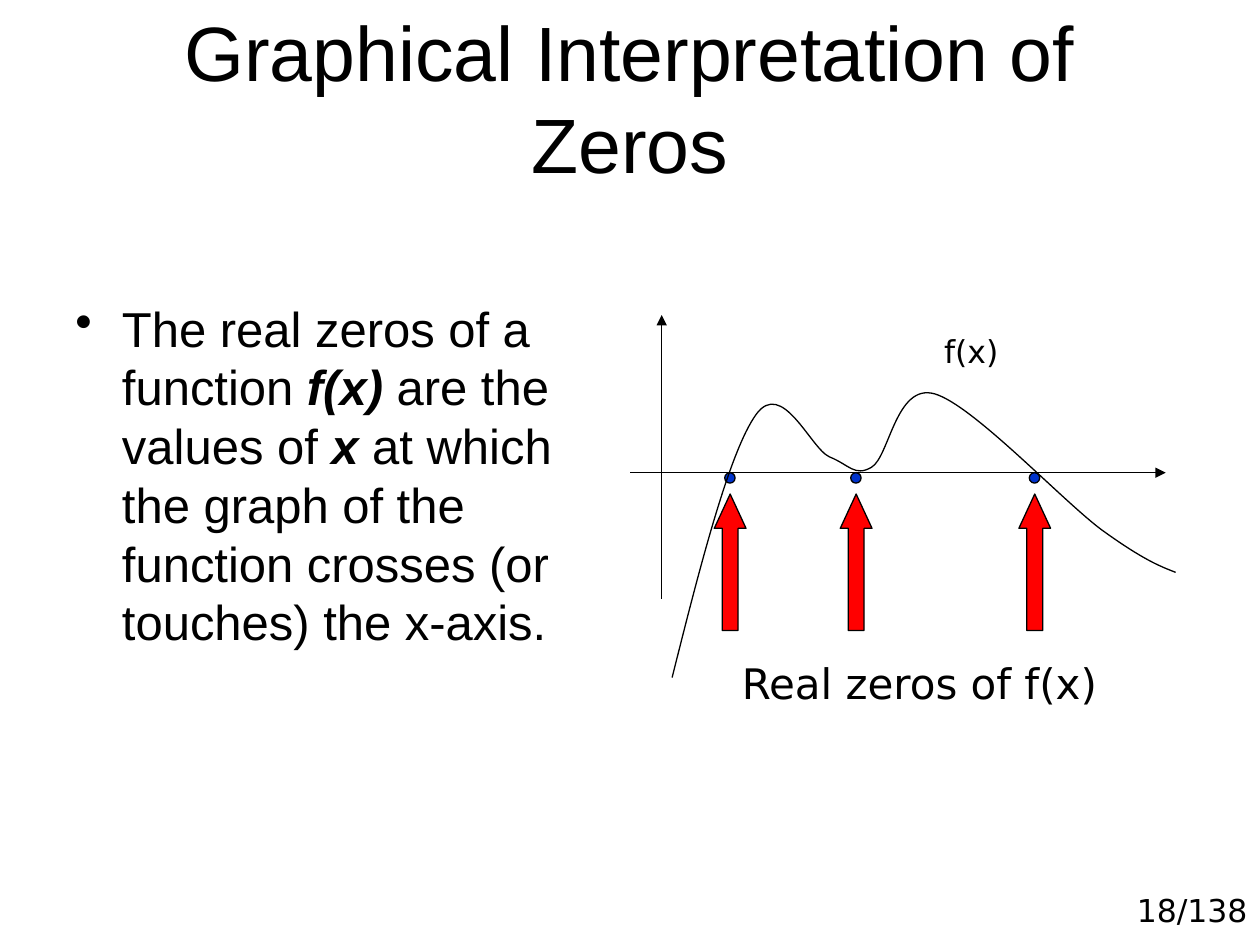
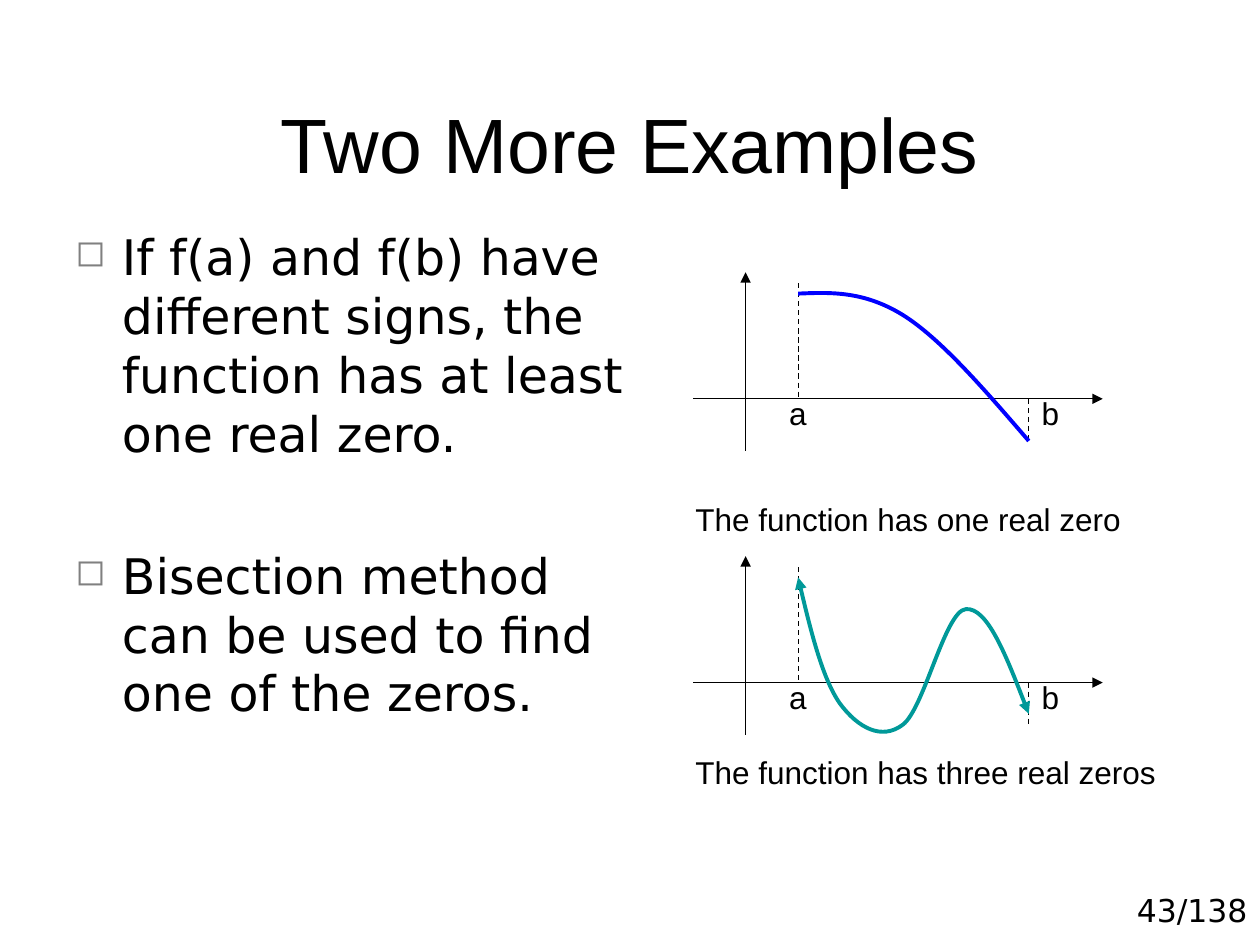
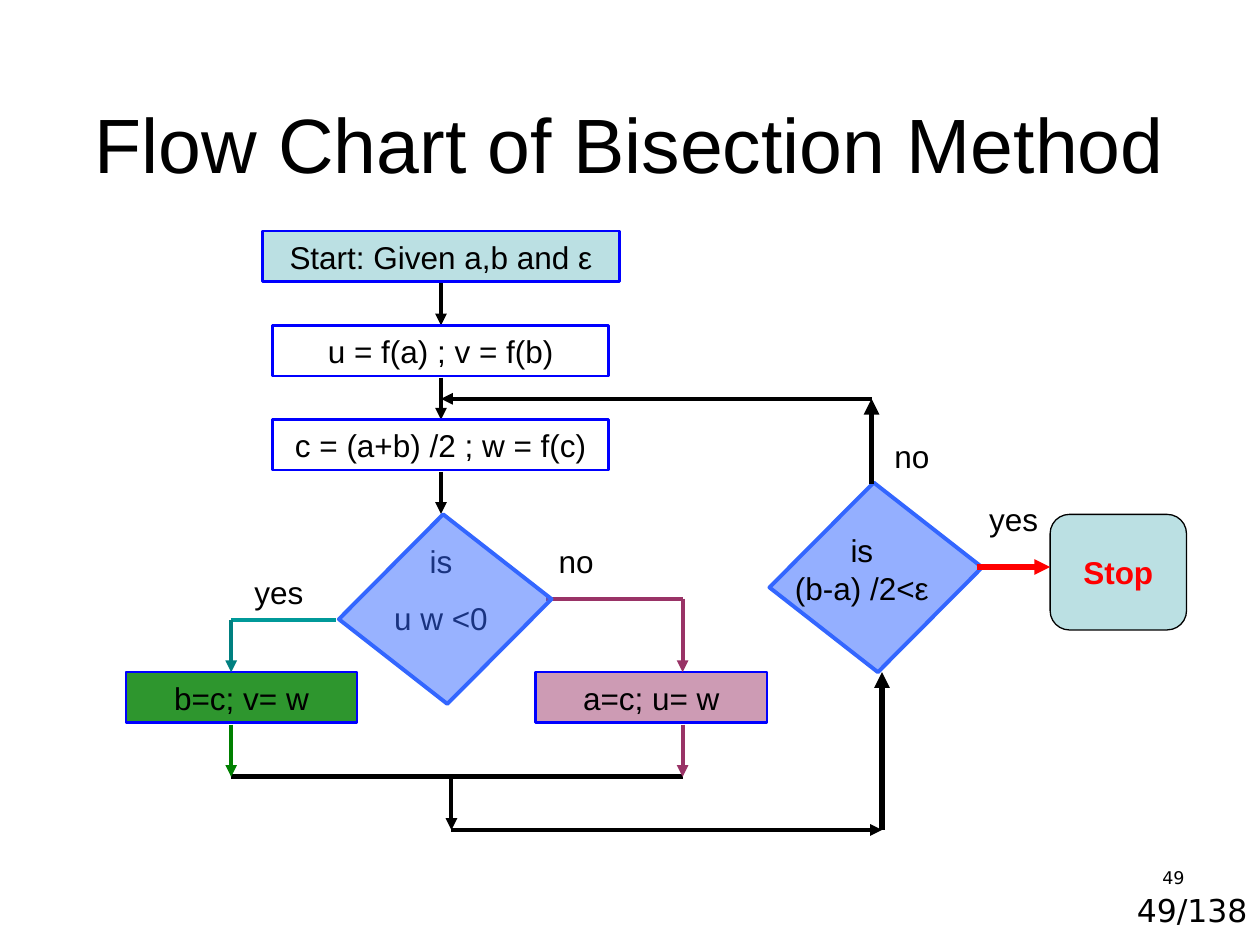
from lxml.etree import SubElement
from pptx import Presentation
from pptx.dml.color import RGBColor
from pptx.enum.dml import MSO_LINE
from pptx.enum.shapes import MSO_CONNECTOR, MSO_SHAPE
from pptx.enum.text import MSO_ANCHOR, PP_ALIGN
from pptx.oxml.ns import qn
from pptx.util import Cm, Pt

SANS, DEJA = "Arial", "DejaVu Sans"
BLACK, BLUE, RED, GREY = "000000", "0000FF", "FF0000", "808080"
TEAL, PLUM, GREEN, PALE, SKY = "009999", "993366", "008000", "BBE0E3", "3366FF"
LEFT, MID, RIGHT = PP_ALIGN.LEFT, PP_ALIGN.CENTER, PP_ALIGN.RIGHT
LEAD = 1.2
ROW = 1.02


def tint(code):
    """Turn a hex string into a colour."""
    return RGBColor.from_string(code)


def style(run, size, font, color=BLACK, bold=False):
    """Format one run."""
    run.font.size, run.font.name = Pt(size), font
    run.font.color.rgb = tint(color)
    run.font.bold = bold


def write(shape, text, size=18, font=SANS, align=LEFT, gap=0, color=BLACK, bold=False):
    """Put text in a shape, with a gap between its paragraphs."""
    frame = shape.text_frame
    frame.word_wrap = True
    frame.text = text
    for i, para in enumerate(frame.paragraphs):
        para.alignment = align
        para.line_spacing = Pt(LEAD * size)
        para.space_before = Pt(gap if i else 0)
        for run in para.runs:
            style(run, size, font, color, bold)
    return frame


def label(slide, box, text, **look):
    """Add a text box."""
    return write(slide.shapes.add_textbox(*map(Cm, box)), text, **look)


def bullet(para, char, color, share=100):
    """Give a paragraph a hanging bullet."""
    props = para._p.get_or_add_pPr()
    props.set("marL", str(Cm(0.94)))
    props.set("indent", str(-Cm(0.94)))
    SubElement(SubElement(props, qn("a:buClr")), qn("a:srgbClr"), val=color)
    SubElement(props, qn("a:buSzPct"), val=str(share * 1000))
    SubElement(props, qn("a:buChar"), char=char)


def ink(line, color, width, start=False, end=False):
    """Colour a line and add its arrowheads."""
    line.color.rgb = tint(color)
    line.width = Pt(width)
    stroke = line._get_or_add_ln()
    for name, used in (("a:headEnd", start), ("a:tailEnd", end)):
        if used:
            SubElement(stroke, qn(name), type="triangle")


def wire(slide, ends, color=BLACK, width=2.25, arrow=True, dash=False):
    """Draw a straight line or arrow."""
    link = slide.shapes.add_connector(MSO_CONNECTOR.STRAIGHT, *map(Cm, ends))
    if dash:
        link.line.dash_style = MSO_LINE.DASH
    ink(link.line, color, width, end=arrow)
    SubElement(link._element.spPr, qn("a:effectLst"))


def block(slide, kind, box, fill=None, edge=BLACK, width=0.75, alpha=100):
    """Draw a preset shape."""
    shape = slide.shapes.add_shape(kind, *map(Cm, box))
    shape.shadow.inherit = False
    if fill:
        shape.fill.solid()
        shape.fill.fore_color.rgb = tint(fill)
    else:
        shape.fill.background()
    if alpha < 100:
        code = next(shape._element.spPr.iter(qn("a:srgbClr")))
        SubElement(code, qn("a:alpha"), val=str(alpha * 1000))
    ink(shape.line, edge, width)
    return shape


def curve(slide, points, color, width, arrows=False):
    """Draw a Bezier curve, three points to each piece after the start."""
    start, *rest = [(Cm(x), Cm(y)) for x, y in points]
    pen = slide.shapes.build_freeform(*start)
    pen.add_line_segments(rest, close=False)
    shape = pen.convert_to_shape()
    track = next(shape._element.iter(qn("a:path")))
    legs = track.findall(qn("a:lnTo"))
    for i in range(0, len(legs), 3):
        piece = SubElement(track, qn("a:cubicBezTo"))
        for leg in legs[i:i + 3]:
            piece.append(leg[0])
            track.remove(leg)
    shape.shadow.inherit = False
    shape.fill.background()
    ink(shape.line, color, width, arrows, arrows)


def base(deck, title, page):
    """Add a slide with its title and page count."""
    slide = deck.slides.add_slide(deck.slide_layouts[6])
    label(slide, (21.39, 17.83, 4.01, ROW), f"{page}/138", font=DEJA, align=RIGHT)
    head = label(slide, (1.27, 0.76, 22.86, 3.18), title, size=44, align=MID)
    head.vertical_anchor = MSO_ANCHOR.BOTTOM
    return slide


def step(slide, box, text, fill=None, alpha=100):
    """Draw a process box of the flow chart."""
    shape = block(slide, MSO_SHAPE.RECTANGLE, box, fill, BLUE, 1.5, alpha)
    write(shape, text, align=MID)


def test(slide, left, top, alpha):
    """Draw a tilted decision box."""
    shape = block(slide, MSO_SHAPE.PARALLELOGRAM, (left, top, 3.13, 2.96),
                  SKY, SKY, 2.25, alpha)
    shape.adjustments[0] = 0.12
    shape.rotation = 38


def graph(slide, y):
    """Draw axes with the ends a and b of an interval."""
    wire(slide, (13.97, y, 22.23, y), width=0.75)
    wire(slide, (15.03, y + 1.05, 15.03, y - 2.55), width=0.75)
    for x, top, low in ((16.09, -2.33, 0), (20.74, 0, 0.85)):
        wire(slide, (x, y + top, x, y + low), width=0.75, arrow=False, dash=True)
    for x, name in ((15.03, "a"), (20.12, "b")):
        label(slide, (x, y - 0.22, 1.48, ROW), name, align=RIGHT)


def zeros(deck):
    """Build the slide on the meaning of zeros."""
    slide = base(deck, "Graphical Interpretation of Zeros", 18)
    frame = label(slide, (1.27, 4.45, 11.63, 12.57), "", size=28)
    frame.margin_top = Cm(1.56)
    para = frame.paragraphs[0]
    bullet(para, "•", BLACK)
    parts = ("The real zeros of a function ", "f(x)", " are the values of ", "x",
             " at which the graph of the function crosses (or touches) the x-axis.")
    for i, part in enumerate(parts):
        run = para.add_run()
        run.text = part
        style(run, 28, SANS, bold=i % 2 == 1)
        run.font.italic = i % 2 == 1
    wire(slide, (13.34, 12.07, 13.34, 6.35), width=0.75)
    wire(slide, (12.7, 9.53, 23.5, 9.53), width=0.75)
    for x in (14.61, 17.15, 20.75):
        block(slide, MSO_SHAPE.OVAL, (x, 9.53, 0.21, 0.21), "0033CC")
        arrow = block(slide, MSO_SHAPE.UP_ARROW, (x - 0.21, 9.96, 0.64, 2.75), RED)
        arrow.adjustments[1] = 1.08
    label(slide, (13.77, 13.13, 9.53, 1.27), "Real zeros of f(x)",
          size=24, font=DEJA, align=MID)
    label(slide, (18.63, 6.56, 1.9, ROW), "f(x)", font=DEJA, align=MID)
    curve(slide, ((13.55, 13.66),
                  (14.12, 11.38), (14.71, 9.1), (15.24, 8.36),
                  (15.77, 7.62), (16.34, 9.04), (16.72, 9.21),
                  (17.12, 9.37), (17.23, 9.62), (17.57, 9.42),
                  (17.93, 9.21), (18.06, 7.72), (18.84, 7.94),
                  (19.61, 8.16), (21.41, 10.09), (22.22, 10.69),
                  (23.04, 11.28), (23.37, 11.41), (23.7, 11.54)), BLACK, 0.75)


def signs(deck):
    """Build the slide with two sign examples."""
    slide = base(deck, "Two More Examples", 43)
    graph(slide, 8.04)
    curve(slide, ((16.09, 5.92),
                  (16.76, 5.89), (17.42, 5.87), (18.2, 6.35),
                  (18.97, 6.83), (19.86, 7.87), (20.74, 8.89)), BLUE, 2.25)
    graph(slide, 13.76)
    curve(slide, ((16.09, 11.64),
                  (16.33, 12.67), (16.59, 13.69), (16.93, 14.18),
                  (17.3, 14.68), (17.78, 14.93), (18.2, 14.61),
                  (18.63, 14.29), (19.05, 12.32), (19.47, 12.28),
                  (19.9, 12.24), (20.32, 13.31), (20.74, 14.39)), TEAL, 2.25, True)
    frame = label(slide, (1.27, 4.45, 12.07, 11.01),
                  "If f(a) and f(b) have different signs, the function has "
                  "at least one real zero.\n"
                  "Bisection method can be used to find one of the zeros.",
                  size=28, font=DEJA, gap=47.6)
    for para in frame.paragraphs:
        bullet(para, "◻", GREY, 75)
    label(slide, (13.77, 9.96, 9.53, ROW), "The function has one real zero")
    label(slide, (13.77, 15.06, 9.96, ROW), "The function has three real zeros")


def flow(deck):
    """Build the flow chart slide."""
    slide = base(deck, "Flow Chart of Bisection Method", 49)
    label(slide, (18.2, 17.36, 5.93, 1.27), "49", size=10, font=DEJA, align=RIGHT)
    steps = ((5.29, 7.2, "Start: Given a,b and ε", PALE),
             (5.5, 6.77, "u = f(a) ; v = f(b)", None),
             (5.5, 6.77, "c = (a+b) /2 ; w = f(c)", None))
    for i, (left, width, text, fill) in enumerate(steps):
        drop = 1.9 * i
        step(slide, (left, 4.66 + drop, width, ROW), text, fill)
        wire(slide, (8.89, 5.71 + drop, 8.89, 6.56 + drop))
    label(slide, (7.62, 10.8, 2.54, 2.18), "is\nu w <0", align=MID, gap=11.2)
    step(slide, (10.8, 13.55, 4.66, ROW), "a=c; u= w", PLUM, 49)
    step(slide, (2.54, 13.55, 4.66, ROW), "b=c; v= w", GREEN, 82)
    test(slide, 16.09, 10.16, 52)
    wires = (((11.01, 12.07, 13.76, 12.07), PLUM, 2.25, False),
             ((13.76, 12.07, 13.76, 13.55), PLUM, 2.25, True),
             ((6.77, 12.49, 4.66, 12.49), TEAL, 2.25, False),
             ((4.66, 12.49, 4.66, 13.55), "008080", 2.25, True),
             ((4.66, 15.66, 13.76, 15.66), BLACK, 3, False),
             ((4.66, 14.61, 4.66, 15.66), GREEN, 2.25, True),
             ((13.76, 14.61, 13.76, 15.66), PLUM, 2.25, True),
             ((9.1, 15.66, 9.1, 16.73), BLACK, 2.25, True),
             ((9.1, 16.73, 17.78, 16.73), BLACK, 2.25, True),
             ((17.78, 16.73, 17.78, 13.55), BLACK, 3, True),
             ((17.57, 8.04, 8.89, 8.04), BLACK, 2.25, True),
             ((17.57, 9.75, 17.57, 8.04), BLACK, 3, True))
    for ends, color, width, arrow in wires:
        wire(slide, ends, color, width, arrow)
    test(slide, 7.41, 10.8, 50)
    label(slide, (15.68, 10.59, 3.39, 1.78), "is\n(b-a) /2<ε", align=MID)
    for left, top, text in ((4.88, 11.43, "yes"), (19.69, 9.96, "yes"),
                            (11.01, 10.8, "no"), (17.78, 8.69, "no")):
        label(slide, (left, top, 2.75, ROW), text)
    stop = block(slide, MSO_SHAPE.ROUNDED_RECTANGLE, (21.17, 10.37, 2.75, 2.33), PALE)
    write(stop, "Stop", align=MID, color=RED, bold=True)
    wire(slide, (19.69, 11.43, 21.17, 11.43), RED, 3)


def main():
    """Build and save the deck."""
    deck = Presentation()
    deck.slide_width, deck.slide_height = Cm(25.4), Cm(19.05)
    for build in (zeros, signs, flow):
        build(deck)
    deck.save("out.pptx")


if __name__ == "__main__":
    main()
